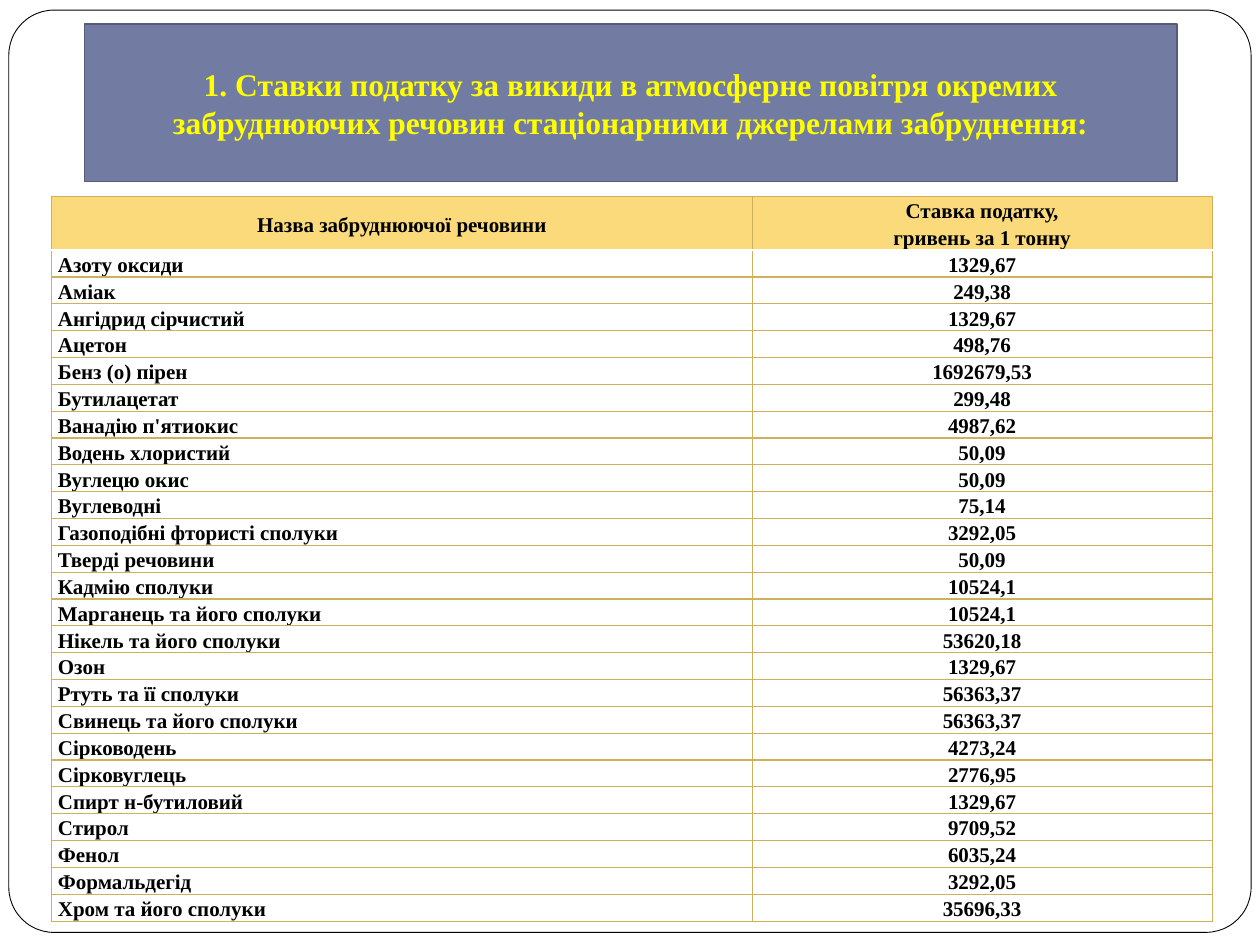
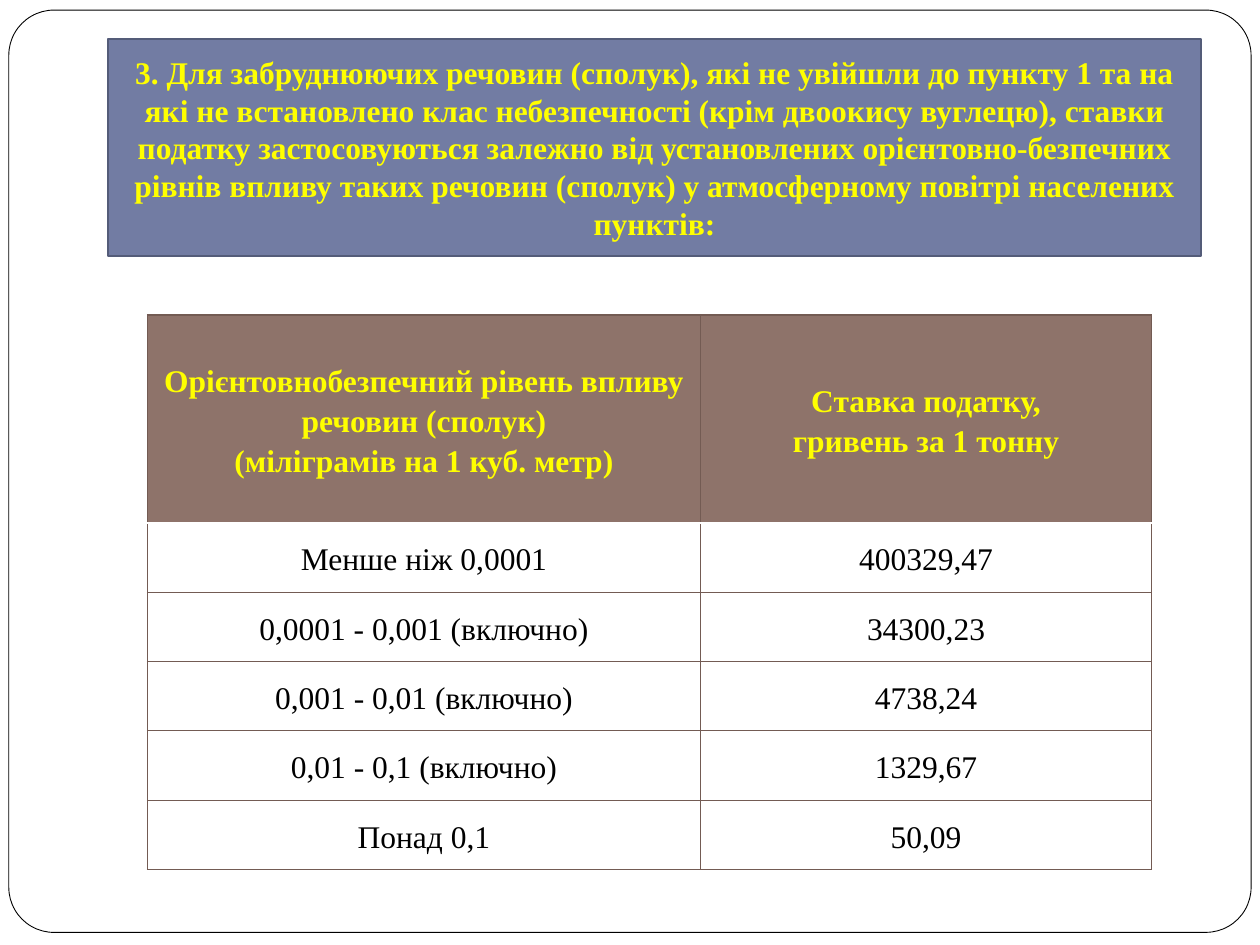
"""Two slides of tax rates: a rounded title banner above a two-column table."""
from dataclasses import dataclass
from typing import Any

import pptx
import pptx.dml.color
import pptx.enum.shapes
import pptx.enum.text
import pptx.oxml
import pptx.oxml.ns
import pptx.util

ALIGN = pptx.enum.text.PP_ALIGN
MIDDLE = pptx.enum.text.MSO_ANCHOR.MIDDLE
TITLE_ONLY = 5  # layout number in the default template
COLUMNS, ROWS = 100, 75  # layout grid of the slide


@dataclass(frozen=True)
class Theme:
    """Colours, font and sizes shared by the slides."""
    font: str = "Times New Roman"
    paper: str = "FFFFFF"
    ink: str = "000000"
    banner: str = "727CA3"
    banner_line: str = "545C79"
    accent: str = "FFFF00"
    gold: str = "FADA7A"
    gold_line: str = "CDB15D"
    brown: str = "8E736A"
    brown_line: str = "735B53"
    large: float = 18
    small: float = 12
    line_spacing: float = 1.15
    frame_line: float = 0.5
    grid_line: float = 0.75
    rule_line: float = 1


THEME = Theme()


@dataclass(frozen=True)
class Box:
    """A place on the slide, in grid columns and rows."""
    left: float
    top: float
    width: float
    height: float


@dataclass(frozen=True)
class TableStyle:
    """Look of one rate table."""
    header_fill: str
    header_ink: str
    border: str
    size: float
    body_bold: bool
    first_align: Any
    inset: float


@dataclass(frozen=True)
class RateSlide:
    """Content and measures of one slide; lengths in grid units."""
    title: str
    banner: Box
    table_left: float
    table_top: float
    column_widths: tuple[float, float]
    header_height: float
    row_height: float
    style: TableStyle
    header: tuple[str, str]
    rates: tuple[tuple[str, str], ...]


SLIDES = (
    RateSlide(
        title="1. Ставки податку за викиди в атмосферне повітря окремих "
              "забруднюючих речовин стаціонарними джерелами забруднення:",
        banner=Box(6.7, 1.9, 86.7, 12.5),
        table_left=4.1, table_top=15.6, column_widths=(55.6, 36.5),
        header_height=4, row_height=2,
        style=TableStyle(THEME.gold, THEME.ink, THEME.gold_line, THEME.small,
                         True, ALIGN.JUSTIFY, 0.5),
        header=("Назва забруднюючої речовини",
                "Ставка податку,\nгривень за 1 тонну"),
        rates=(
            ("Азоту оксиди", "1329,67"),
            ("Аміак", "249,38"),
            ("Ангідрид сірчистий", "1329,67"),
            ("Ацетон", "498,76"),
            ("Бенз (о) пірен", "1692679,53"),
            ("Бутилацетат", "299,48"),
            ("Ванадію п'ятиокис", "4987,62"),
            ("Водень хлористий", "50,09"),
            ("Вуглецю окис", "50,09"),
            ("Вуглеводні", "75,14"),
            ("Газоподібні фтористі сполуки", "3292,05"),
            ("Тверді речовини", "50,09"),
            ("Кадмію сполуки", "10524,1"),
            ("Марганець та його сполуки", "10524,1"),
            ("Нікель та його сполуки", "53620,18"),
            ("Озон", "1329,67"),
            ("Ртуть та її сполуки", "56363,37"),
            ("Свинець та його сполуки", "56363,37"),
            ("Сірководень", "4273,24"),
            ("Сірковуглець", "2776,95"),
            ("Спирт н-бутиловий", "1329,67"),
            ("Стирол", "9709,52"),
            ("Фенол", "6035,24"),
            ("Формальдегід", "3292,05"),
            ("Хром та його сполуки", "35696,33"),
        ),
    ),
    RateSlide(
        title="3. Для забруднюючих речовин (сполук), які не увійшли до пункту 1 "
              "та на які не встановлено клас небезпечності (крім двоокису "
              "вуглецю), ставки податку застосовуються залежно від установлених "
              "орієнтовно-безпечних рівнів впливу таких речовин (сполук) у "
              "атмосферному повітрі населених пунктів:",
        banner=Box(8.6, 3.1, 86.7, 17.2),
        table_left=11.7, table_top=25, column_widths=(43.9, 35.8),
        header_height=16.5, row_height=5.5,
        style=TableStyle(THEME.brown, THEME.accent, THEME.brown_line,
                         THEME.large, False, ALIGN.CENTER, 0.7),
        header=("Орієнтовнобезпечний рівень впливу речовин (сполук)\n"
                "(міліграмів на 1 куб. метр)",
                "Ставка податку,\nгривень за 1 тонну"),
        rates=(
            ("Менше ніж 0,0001", "400329,47"),
            ("0,0001 - 0,001 (включно)", "34300,23"),
            ("0,001 - 0,01 (включно)", "4738,24"),
            ("0,01 - 0,1 (включно)", "1329,67"),
            ("Понад 0,1", "50,09"),
        ),
    ),
)


def set_all(target: Any, values: dict[str, Any]) -> None:
    """Set every named attribute of the target."""
    for name, value in values.items():
        setattr(target, name, value)


def rgb(colour: str) -> pptx.dml.color.RGBColor:
    """Turn a hex string into a colour."""
    return pptx.dml.color.RGBColor.from_string(colour)


def units(count: float, total: int, length: int) -> pptx.util.Emu:
    """Turn a count of grid units into a length."""
    return pptx.util.Emu(round(count * length / total))


def place(box: Box, presentation: Any) -> dict[str, pptx.util.Emu]:
    """Give the position and size of a box on the slide."""
    width, height = presentation.slide_width, presentation.slide_height
    return {"left": units(box.left, COLUMNS, width),
            "top": units(box.top, ROWS, height),
            "width": units(box.width, COLUMNS, width),
            "height": units(box.height, ROWS, height)}


def paint(shape: Any, fill: str, line: str, weight: float) -> None:
    """Give a shape a solid fill and outline."""
    shape.fill.solid()
    shape.fill.fore_color.rgb = rgb(fill)
    shape.line.color.rgb = rgb(line)
    shape.line.width = pptx.util.Pt(weight)


def write(text_frame: Any, text: str, size: float, colour: str, bold: bool,
          align: Any, spacing: float | None = None) -> None:
    """Fill a text frame, one paragraph a line, and format it."""
    text_frame.text = text
    for paragraph in text_frame.paragraphs:
        set_all(paragraph, {"alignment": align, "line_spacing": spacing})
        for run in paragraph.runs:
            set_all(run.font, {"name": THEME.font, "size": pptx.util.Pt(size),
                               "bold": bold})
            run.font.color.rgb = rgb(colour)


def add_frame(presentation: Any, slide: Any) -> None:
    """Draw the page frame and move it to the layout that all slides use."""
    frame = slide.shapes.add_shape(
        pptx.enum.shapes.MSO_SHAPE.ROUNDED_RECTANGLE,
        **place(Box(0.7, 0.8, 98.6, 73.2), presentation))
    frame.adjustments[0] = 0.049
    frame.shadow.inherit = False
    paint(frame, THEME.paper, THEME.ink, THEME.frame_line)
    layout_title = slide.slide_layout.placeholders[0].element
    layout_title.addprevious(frame.element)


def add_banner(presentation: Any, slide: Any, content: RateSlide) -> None:
    """Shape the title placeholder as a rounded banner."""
    title = slide.shapes.title
    set_all(title, place(content.banner, presentation))
    outline = pptx.oxml.parse_xml(
        f'<a:prstGeom {pptx.oxml.ns.nsdecls("a")} prst="roundRect">'
        '<a:avLst/></a:prstGeom>')
    title.element.spPr.find(pptx.oxml.ns.qn("a:xfrm")).addnext(outline)
    paint(title, THEME.banner, THEME.banner_line, THEME.rule_line)
    set_all(title.text_frame, {"word_wrap": True, "vertical_anchor": MIDDLE,
                               "auto_size": pptx.enum.text.MSO_AUTO_SIZE.NONE})
    write(title.text_frame, content.title, THEME.large, THEME.accent, True,
          ALIGN.CENTER)


def set_borders(cell: Any, sides: dict[str, tuple[str, float]]) -> None:
    """Draw the cell's borders; sides map to colour and weight."""
    properties = cell._tc.get_or_add_tcPr()
    for index, (side, (colour, weight)) in enumerate(sides.items()):
        properties.insert(index, pptx.oxml.parse_xml(
            f'<a:ln{side} {pptx.oxml.ns.nsdecls("a")} w="{pptx.util.Pt(weight)}">'
            f'<a:solidFill><a:srgbClr val="{colour}"/></a:solidFill></a:ln{side}>'))


def format_cell(cell: Any, text: str, row: int, column: int, style: TableStyle,
                inset: pptx.util.Emu) -> None:
    """Write one cell with its fill, margins and borders."""
    header = row == 0
    set_all(cell, {"margin_left": inset, "margin_right": inset, "margin_top": 0,
                   "margin_bottom": 0, "vertical_anchor": MIDDLE})
    if header:
        cell.fill.solid()
        cell.fill.fore_color.rgb = rgb(style.header_fill)
    else:
        cell.fill.background()
    write(cell.text_frame, text, style.size,
          style.header_ink if header else THEME.ink, header or style.body_bold,
          ALIGN.CENTER if header or column else style.first_align,
          THEME.line_spacing)
    border, rule = (style.border, THEME.grid_line), (THEME.paper, THEME.rule_line)
    set_borders(cell, {"L": border, "R": border,
                       "T": rule if row == 1 else border,
                       "B": rule if header else border})


def add_rates(presentation: Any, slide: Any, content: RateSlide) -> None:
    """Add the table of rates."""
    lines = (content.header, *content.rates)
    height = content.header_height + content.row_height * len(content.rates)
    box = Box(content.table_left, content.table_top,
              sum(content.column_widths), height)
    table = slide.shapes.add_table(len(lines), len(content.header),
                                   **place(box, presentation)).table
    table.horz_banding = False
    for column, width in zip(table.columns, content.column_widths):
        column.width = units(width, COLUMNS, presentation.slide_width)
    inset = units(content.style.inset, COLUMNS, presentation.slide_width)
    for row, texts in enumerate(lines):
        table.rows[row].height = units(
            content.row_height if row else content.header_height,
            ROWS, presentation.slide_height)
        for column, text in enumerate(texts):
            format_cell(table.cell(row, column), text, row, column,
                        content.style, inset)


def main() -> None:
    """Build and save the presentation."""
    presentation = pptx.Presentation()
    set_all(presentation, {"slide_width": pptx.util.Inches(10),
                           "slide_height": pptx.util.Inches(7.5)})
    layout = presentation.slide_layouts[TITLE_ONLY]
    for number, content in enumerate(SLIDES):
        slide = presentation.slides.add_slide(layout)
        if number == 0:
            add_frame(presentation, slide)
        add_banner(presentation, slide, content)
        add_rates(presentation, slide, content)
    presentation.save("out.pptx")


main()
